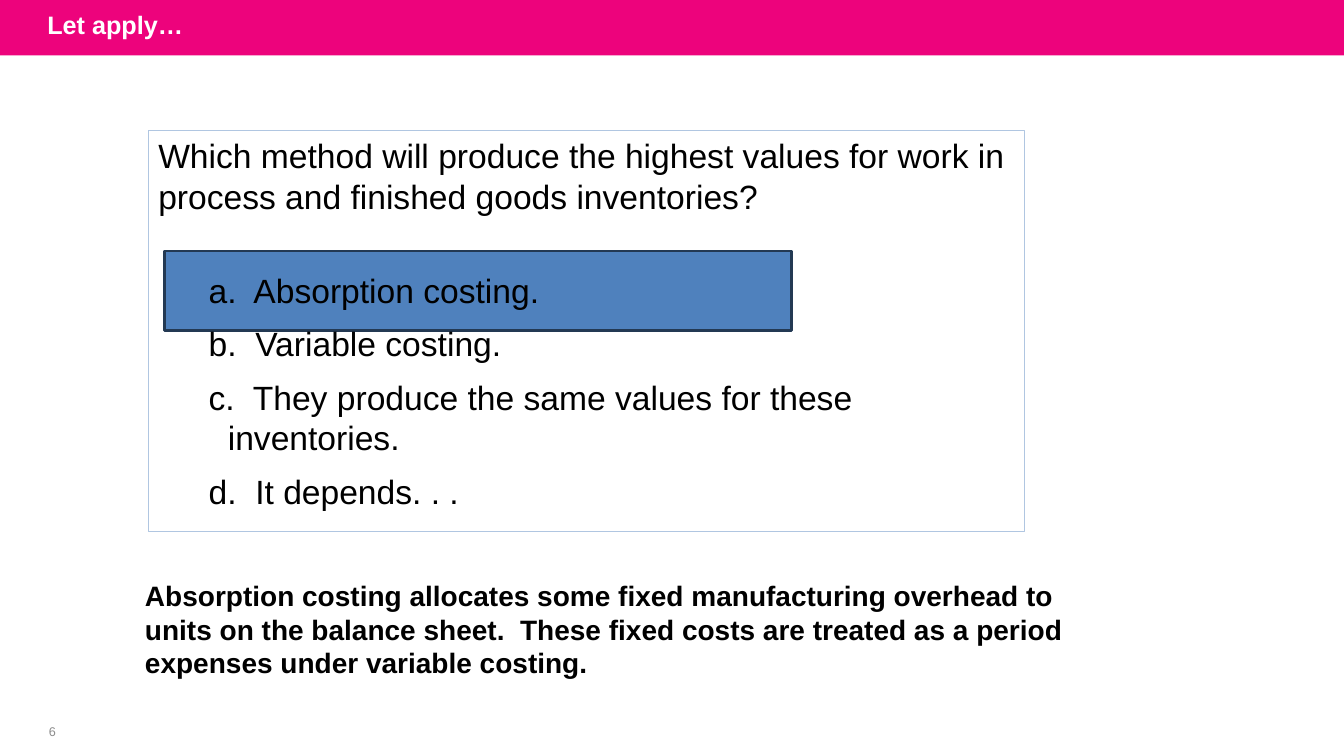
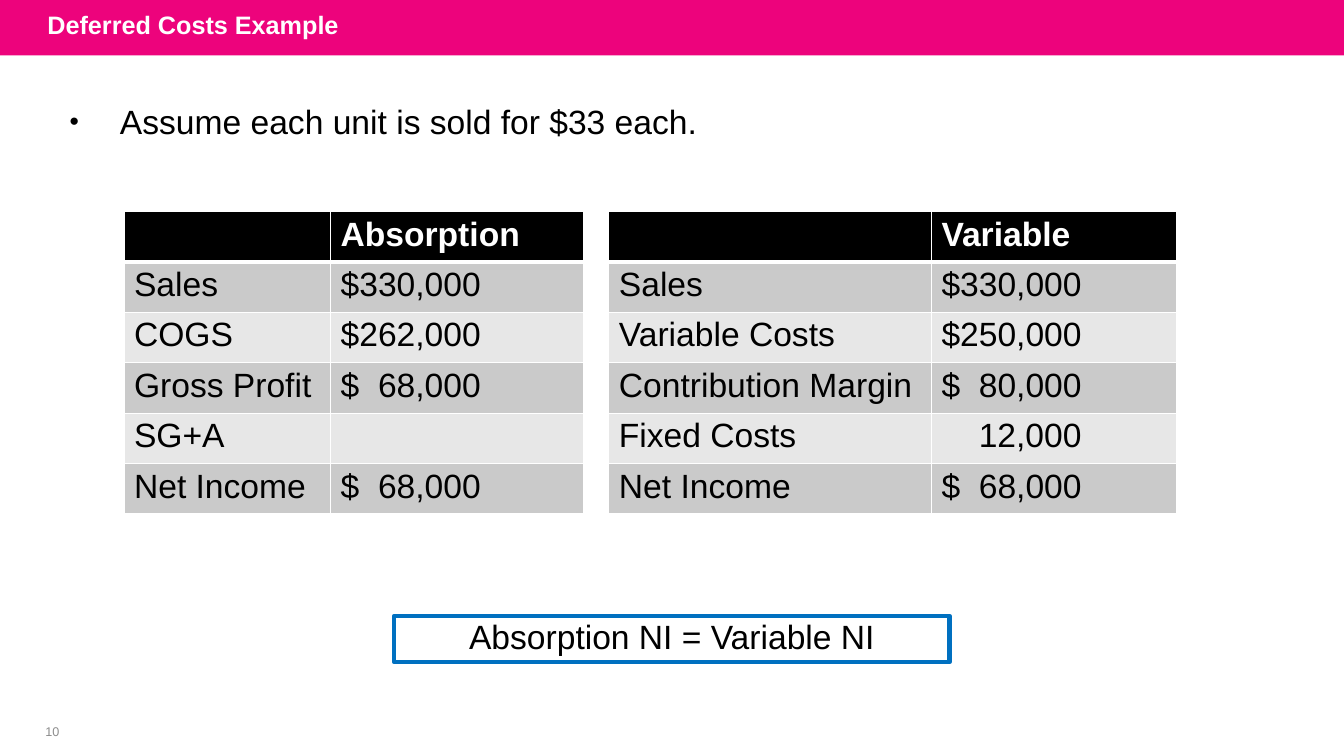
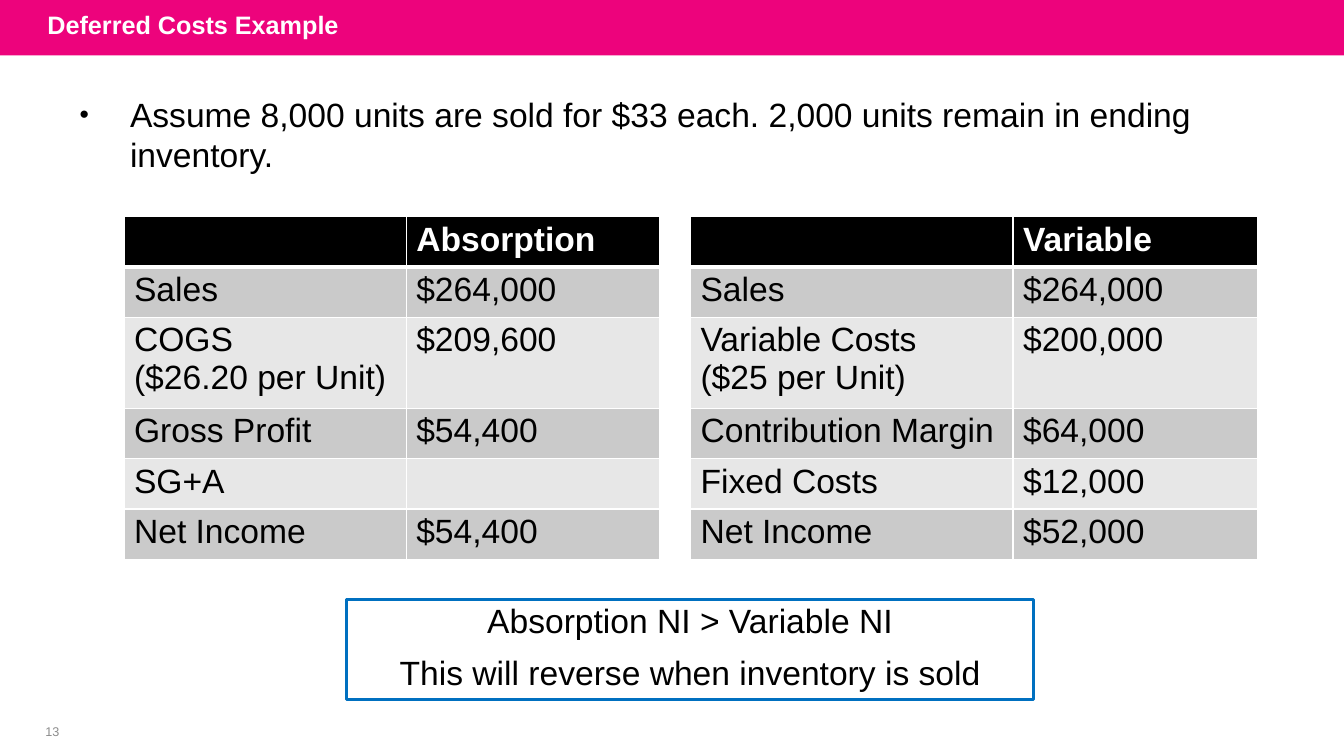
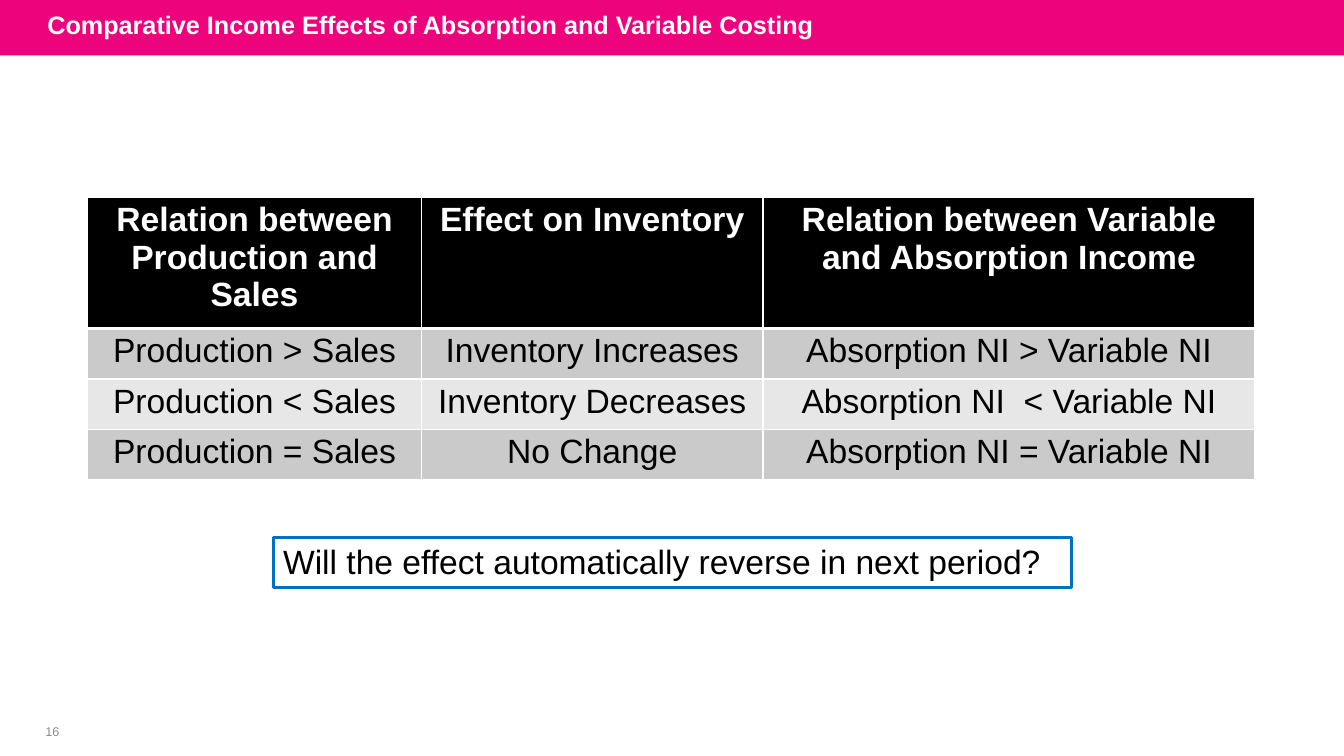
from lxml.etree import SubElement
from pptx import Presentation
from pptx.dml.color import RGBColor
from pptx.enum.shapes import MSO_SHAPE
from pptx.enum.text import MSO_ANCHOR, MSO_AUTO_SIZE, PP_ALIGN
from pptx.oxml import parse_xml
from pptx.oxml.ns import nsdecls, qn
from pptx.util import Inches, Pt

SLIDE_COLUMNS, SLIDE_ROWS = 133.33, 75
FONT = "Arial"
PINK, BLACK, WHITE, GRAY = "ED037C", "000000", "FFFFFF", "8C8C8C"
BANDS = ("CACACA", "E7E7E7")
BLUE, NAVY, SKY, PALE = "4F81BD", "233953", "0070C0", "B0C6E1"
TITLE_AND_BODY, TITLE_ONLY = 1, 5
BODY_SIZE = 24


def color(code):
    return RGBColor.from_string(code)


def grid(units):
    return Inches(units * 0.1)


def assign(target, values):
    for name, value in values.items():
        setattr(target, name, value)


def place(shape, left, top, width, height):
    spots = {"left": left, "top": top, "width": width, "height": height}
    assign(shape, {name: grid(units) for name, units in spots.items()})


def paint(shape, fill=None, line=None, weight=1):
    if fill:
        shape.fill.solid()
        shape.fill.fore_color.rgb = color(fill)
    else:
        shape.fill.background()
    if line:
        shape.line.color.rgb = color(line)
        shape.line.width = Pt(weight)
    else:
        shape.line.fill.background()


def indent(paragraph, margin, first=0):
    properties = paragraph._p.get_or_add_pPr()
    properties.set("marL", str(grid(margin)))
    properties.set("indent", str(grid(first)))
    return properties


def write(frame, text, size=BODY_SIZE, tone=BLACK, bold=False, align=PP_ALIGN.LEFT,
          anchor=MSO_ANCHOR.TOP, insets=(0, 0, 0, 0), leading=1.2):
    left, top, right, bottom = (grid(units) for units in insets)
    assign(frame, {
        "text": text, "word_wrap": True, "auto_size": MSO_AUTO_SIZE.NONE,
        "vertical_anchor": anchor, "margin_left": left, "margin_top": top,
        "margin_right": right, "margin_bottom": bottom,
    })
    for paragraph in frame.paragraphs:
        assign(paragraph, {"alignment": align, "line_spacing": Pt(size * leading),
                           "space_before": Pt(0), "space_after": Pt(0)})
        assign(paragraph.font, {"name": FONT, "size": Pt(size), "bold": bold})
        paragraph.font.color.rgb = color(tone)
        for run in paragraph.runs:
            assign(run.font, {"name": FONT, "size": Pt(size), "bold": bold})
            run.font.color.rgb = color(tone)


def add_box(slide, spot, **look):
    box = slide.shapes.add_shape(MSO_SHAPE.RECTANGLE, *map(grid, spot))
    box.shadow.inherit = False
    paint(box, **look)
    return box


def add_text(slide, spot, text, **style):
    label = slide.shapes.add_textbox(*map(grid, spot))
    write(label.text_frame, text, **style)


def add_callout(slide, spot, text, weight=2, align=PP_ALIGN.CENTER, insets=(0, 0, 0, 0)):
    callout = add_box(slide, spot, line=SKY, weight=weight)
    write(callout.text_frame, text, align=align, insets=insets)
    for paragraph in callout.text_frame.paragraphs[1:]:
        paragraph.space_before = Pt(8.7)


def add_slide(deck, layout, title, number):
    slide = deck.slides.add_slide(deck.slide_layouts[layout])
    write(slide.shapes.title.text_frame, title, size=18, tone=WHITE, bold=True,
          anchor=MSO_ANCHOR.MIDDLE, insets=(1, 0.5, 1, 0.5))
    add_text(slide, (2.6, 71.4, 5.2, 2.4), number, size=9, tone=GRAY,
             align=PP_ALIGN.CENTER, anchor=MSO_ANCHOR.MIDDLE)
    return slide


def add_bullet(slide, left, top, text):
    body = slide.placeholders[1]
    place(body, left, top, 111, 8.3)
    write(body.text_frame, text, insets=(0, 0.1, 0, 0))
    properties = indent(body.text_frame.paragraphs[0], 5.1, -5)
    SubElement(properties, qn("a:buSzPct")).set("val", "79000")


def border(cell, edges):
    properties = cell._tc.get_or_add_tcPr()
    for order, (side, weight) in enumerate(edges.items()):
        properties.insert(order, parse_xml(
            f'<a:ln{side} {nsdecls("a")} w="{Pt(weight)}"><a:solidFill>'
            f'<a:srgbClr val="{WHITE}"/></a:solidFill></a:ln{side}>'))


def add_table(slide, left, top, widths, heights, rows, align=PP_ALIGN.LEFT):
    table = slide.shapes.add_table(
        len(rows), len(widths), grid(left), grid(top),
        grid(sum(widths)), grid(sum(heights))).table
    for column, width in zip(table.columns, widths):
        column.width = grid(width)
    for order, (row, height, texts) in enumerate(zip(table.rows, heights, rows)):
        row.height = grid(height)
        header = order == 0
        for cell, text in zip(row.cells, texts):
            write(cell.text_frame, text, tone=WHITE if header else BLACK, bold=header, align=align)
            for paragraph in cell.text_frame.paragraphs:
                paragraph.line_spacing = 1.0
            assign(cell, {"margin_left": grid(1), "margin_right": grid(1),
                          "margin_top": grid(0.4), "margin_bottom": 0})
            cell.fill.solid()
            cell.fill.fore_color.rgb = color(BLACK if header else BANDS[(order - 1) % 2])
            border(cell, {"L": 1, "R": 1, "T": 3 if order == 1 else 1, "B": 3 if header else 1})
    return table


def add_statements(slide, top, gap, label_widths, heights, absorption, variable):
    left = 12.3
    tables = []
    for label, value, rows in zip(label_widths, (25.1, 24.3), (absorption, variable)):
        tables.append(add_table(slide, left, top, (label, value), heights, rows))
        left += label + value + gap
    return tables


def add_master_band(deck, slide):
    band = add_box(slide, (0, 0, SLIDE_COLUMNS, 5.5), fill=PINK)
    deck.slide_master.shapes.element.insert(2, band.element)
    for holder in deck.slide_master.placeholders:
        if holder.placeholder_format.idx == 0:
            place(holder, 3.7, -0.3, 105, 5.5)
            break


def build_question(deck):
    slide = add_slide(deck, TITLE_AND_BODY, "Let apply…", "6")
    add_master_band(deck, slide)
    add_box(slide, (16.3, 24.9, 62.2, 7.9), fill=BLUE, line=NAVY, weight=2)
    question = slide.placeholders[1]
    place(question, 14.7, 12.9, 86.9, 39.8)
    paint(question, line=PALE, weight=0.75)
    write(question.text_frame, "\n".join((
        "Which method will produce the highest values for work in process and finished goods inventories?",
        "a.  Absorption costing.",
        "b.  Variable costing.",
        "c.  They produce the same values for these inventories.",
        "d.  It depends. . .",
    )), insets=(1, 0.5, 1, 0.5))
    prompt, *answers = question.text_frame.paragraphs
    for paragraph in answers:
        paragraph.space_before = Pt(9.6)
        SubElement(indent(paragraph, 6.9, -1.9), qn("a:buNone"))
    answers[0].space_before = Pt(38.4)
    SubElement(indent(prompt, 0), qn("a:buNone"))
    slide.shapes.element.append(question.element)
    add_text(slide, (13.4, 56.9, 95.3, 11.1),
             "Absorption costing allocates some fixed manufacturing overhead to units on the "
             "balance sheet.  These fixed costs are treated as a period expenses under variable costing.",
             size=20, bold=True, insets=(1, 0.5, 1, 0.5))


def build_all_sold(deck):
    slide = add_slide(deck, TITLE_AND_BODY, "Deferred Costs Example", "10")
    add_bullet(slide, 6.8, 9.9, "Assume each unit is sold for $33 each.")
    absorption = (("", "Absorption"), ("Sales", "$330,000"), ("COGS", "$262,000"),
                  ("Gross Profit", "$  68,000"), ("SG+A", ""), ("Net Income", "$  68,000"))
    variable = (("", "Variable"), ("Sales", "$330,000"), ("Variable Costs", "$250,000"),
                ("Contribution Margin", "$  80,000"), ("Fixed Costs", "12,000"),
                ("Net Income", "$  68,000"))
    statements = add_statements(slide, 21, 2.5, (20.5, 32), (5,) * 6, absorption, variable)
    fixed_costs = statements[1].cell(4, 1)
    indent(fixed_costs.text_frame.paragraphs[0], 3.7)
    add_callout(slide, (39.1, 61.1, 55.1, 4.6), "Absorption NI = Variable NI", weight=3)


def build_part_sold(deck):
    slide = add_slide(deck, TITLE_AND_BODY, "Deferred Costs Example", "13")
    add_bullet(slide, 7.8, 9.2,
               "Assume 8,000 units are sold for $33 each. 2,000 units remain in ending inventory.")
    absorption = (("", "Absorption"), ("Sales", "$264,000"),
                  ("COGS\n($26.20 per Unit)", "$209,600"), ("Gross Profit", "$54,400"),
                  ("SG+A", ""), ("Net Income", "$54,400"))
    variable = (("", "Variable"), ("Sales", "$264,000"),
                ("Variable Costs\n($25 per Unit)", "$200,000"),
                ("Contribution Margin", "$64,000"), ("Fixed Costs", "$12,000"),
                ("Net Income", "$52,000"))
    add_statements(slide, 21.5, 3.1, (28, 32), (5, 5, 9, 5, 5, 5), absorption, variable)
    add_callout(slide, (34.4, 59.5, 68.1, 9.9),
                "Absorption NI > Variable NI\nThis will reverse when inventory is sold")


def build_comparison(deck):
    slide = add_slide(deck, TITLE_ONLY,
                      "Comparative Income Effects of Absorption and Variable Costing", "16")
    effects = (
        ("Relation between Production and Sales", "Effect on Inventory",
         "Relation between Variable\nand Absorption Income"),
        ("Production > Sales", "Inventory Increases", "Absorption NI > Variable NI"),
        ("Production < Sales", "Inventory Decreases", "Absorption NI  < Variable NI"),
        ("Production = Sales", "No Change", "Absorption NI = Variable NI"),
    )
    add_table(slide, 8.7, 19.6, (33.1, 33.9, 48.8), (13, 5, 5, 5), effects, PP_ALIGN.CENTER)
    add_callout(slide, (27.1, 53.3, 79.2, 5), "Will the effect automatically reverse in next period?",
                align=PP_ALIGN.LEFT, insets=(1, 0.4, 0, 0))


def main():
    deck = Presentation()
    assign(deck, {"slide_width": grid(SLIDE_COLUMNS), "slide_height": grid(SLIDE_ROWS)})
    for build in (build_question, build_all_sold, build_part_sold, build_comparison):
        build(deck)
    deck.save("out.pptx")


if __name__ == "__main__":
    main()
